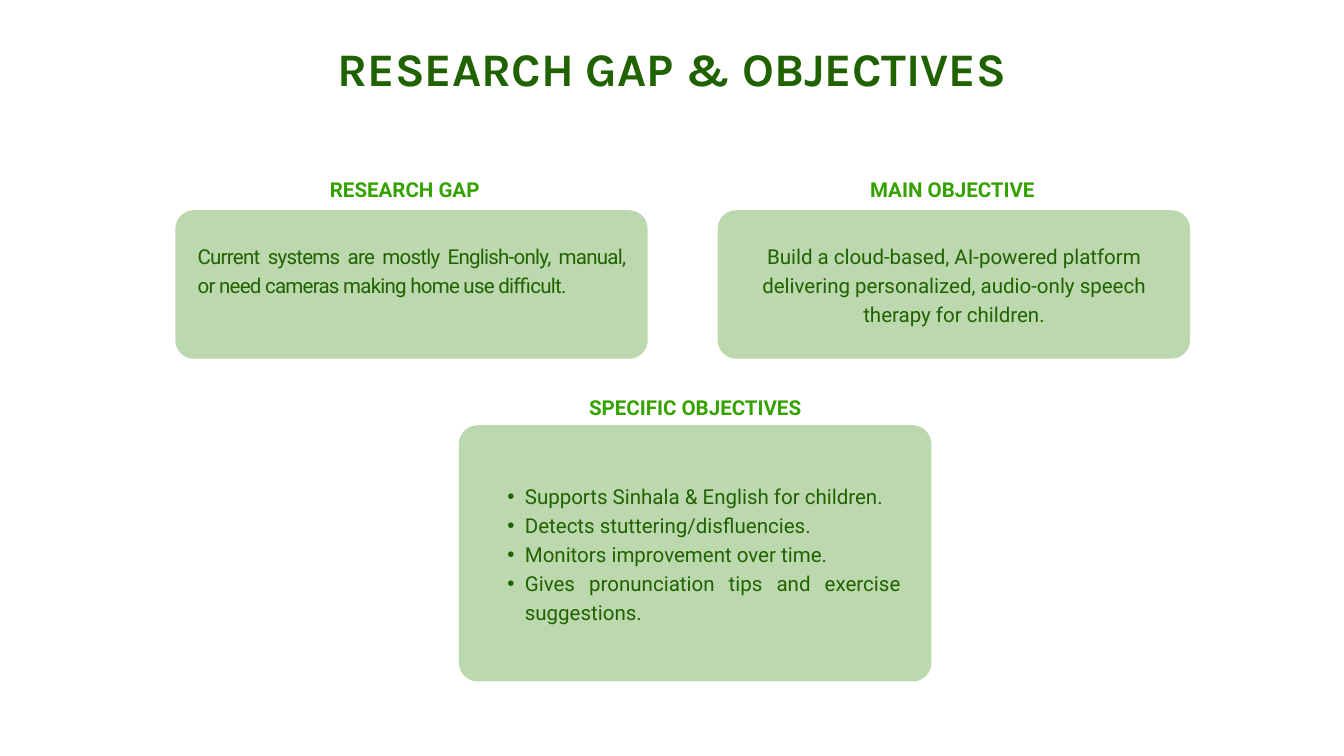
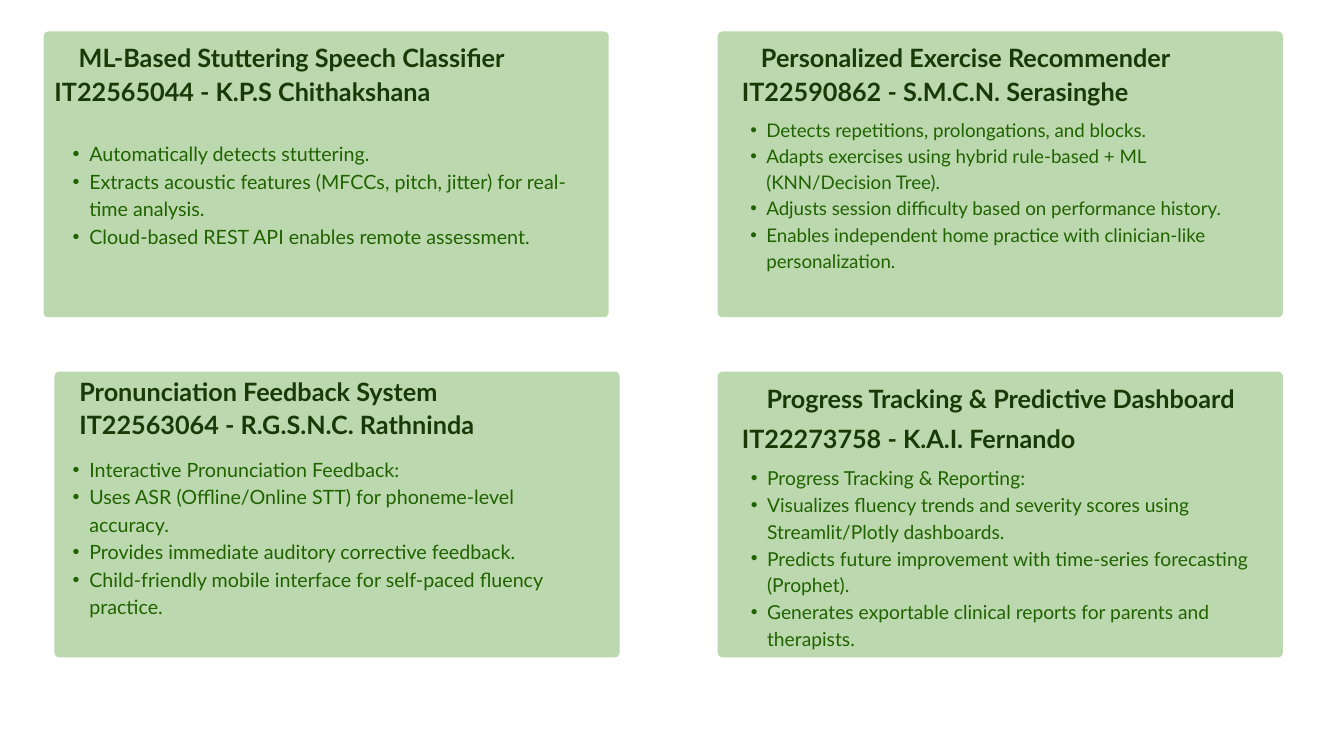
from lxml.etree import SubElement
from pptx import Presentation
from pptx.dml.color import RGBColor
from pptx.enum.shapes import MSO_SHAPE as SHAPE
from pptx.enum.text import MSO_AUTO_SIZE as AUTO_SIZE, PP_ALIGN as ALIGN
from pptx.oxml.ns import qn
from pptx.util import Cm, Pt

COLORS = {
    "card": "BBD8AE",
    "text": "206200",
    "heading": "35A201",
    "component": "183A07",
}


def add_card(slide, left, top, width, height, radius, border=0):
    card = slide.shapes.add_shape(
        SHAPE.ROUNDED_RECTANGLE, Cm(left), Cm(top), Cm(width), Cm(height))
    card.adjustments[0] = radius / min(width, height)
    card.shadow.inherit = False
    card.fill.solid()
    card.fill.fore_color.rgb = RGBColor.from_string(COLORS["card"])
    if border:
        card.line.color.rgb = RGBColor.from_string(COLORS["card"])
        card.line.width = Pt(border)
    else:
        card.line.fill.background()


def add_text(slide, lines, place, font, size, color="text", bold=False,
             align=ALIGN.LEFT, bullets=False, leading=1.4, tracking=0):
    """Write one paragraph per line; leading and indents follow the font size."""
    frame = slide.shapes.add_textbox(*[Cm(length) for length in place]).text_frame
    frame.margin_left = frame.margin_right = 0
    frame.margin_top = frame.margin_bottom = 0
    frame.word_wrap = True
    frame.auto_size = AUTO_SIZE.SHAPE_TO_FIT_TEXT
    for index, line in enumerate(lines):
        paragraph = frame.add_paragraph() if index else frame.paragraphs[0]
        run = paragraph.add_run()
        run.text = line
        if tracking:
            run._r.get_or_add_rPr().set("spc", str(tracking))
        paragraph.alignment = align
        paragraph.line_spacing = Pt(round(size * leading, 1))
        if bullets:
            props = paragraph._p.get_or_add_pPr()
            props.set("marL", str(Cm(0.06 * size)))
            props.set("indent", str(-Cm(0.03 * size)))
            SubElement(props, qn("a:buFont"), typeface="Arial")
            SubElement(props, qn("a:buChar"), char="•")
        paragraph.font.name = font
        paragraph.font.size = Pt(size)
        paragraph.font.bold = bold
        paragraph.font.color.rgb = RGBColor.from_string(COLORS[color])


deck = Presentation()
deck.slide_width, deck.slide_height = Cm(50.8), Cm(28.58)
blank = deck.slide_layouts[6]

# Research gap and objectives
objectives = deck.slides.add_slide(blank)
add_text(objectives, ["RESEARCH GAP & OBJECTIVES"], (11.46, 1.6, 27.91, 4.06),
         "Karla", 50, bold=True, align=ALIGN.CENTER, leading=1.14)

# heading, its place and alignment, card left, top and height, body, its place and style
sections = [
    ("RESEARCH GAP", (12.47, 6.55, 6.17, 1.07), ALIGN.JUSTIFY, (6.68, 8, 5.51),
     ["Current systems are mostly English-only, manual, "
      "or need cameras making home use difficult."],
     (7.47, 9.07, 16.18, 3.23), {"align": ALIGN.JUSTIFY, "tracking": -80}),
    ("MAIN OBJECTIVE", (32.89, 6.55, 6.32, 1.07), ALIGN.JUSTIFY, (27.18, 8, 5.51),
     ["Build a cloud-based, AI-powered platform delivering personalized, "
      "audio-only speech therapy for children."],
     (28.02, 9.07, 16.08, 3.23), {"align": ALIGN.CENTER}),
    ("SPECIFIC OBJECTIVES", (19.43, 14.76, 13.69, 1.07), ALIGN.CENTER,
     (17.4, 16.13, 9.58),
     ["Supports Sinhala & English for children.",
      "Detects stuttering/disfluencies.",
      "Monitors improvement over time.",
      "Gives pronunciation tips and exercise suggestions."],
     (18.52, 18.16, 15.52, 6.48), {"align": ALIGN.JUSTIFY, "bullets": True}),
]
for heading, heading_place, heading_align, card, body, body_place, style in sections:
    left, top, height = card
    add_text(objectives, [heading], heading_place, "Roboto", 22, "heading",
             bold=True, align=heading_align)
    add_card(objectives, left, top, 17.75, height, 0.65, border=3)
    add_text(objectives, body, body_place, "Roboto", 22, **style)

# System components and their owners
components = deck.slides.add_slide(blank)

# card corner, name with corner and alignment, owner with corner,
# features with place and size
parts = [
    ((1.65, 1.19),
     "ML-Based Stuttering Speech Classifier", (1.24, 1.42), ALIGN.CENTER,
     "IT22565044 - K.P.S Chithakshana", (2.06, 2.69),
     ["Automatically detects stuttering.",
      "Extracts acoustic features (MFCCs, pitch, jitter) for real-time analysis.",
      "Cloud-based REST API enables remote assessment."],
     (2.11, 5.23, 20.45, 5.11), 21.1),
    ((27.13, 1.19),
     "Personalized Exercise Recommender", (26.72, 1.42), ALIGN.CENTER,
     "IT22590862 - S.M.C.N. Serasinghe", (28.04, 2.69),
     ["Detects repetitions, prolongations, and blocks.",
      "Adapts exercises using hybrid rule-based + ML (KNN/Decision Tree).",
      "Adjusts session difficulty based on performance history.",
      "Enables independent home practice with clinician-like personalization."],
     (27.76, 4.34, 19.56, 7.8), 20.1),
    ((2.06, 14.05),
     "Pronunciation Feedback System", (3, 14.05), ALIGN.JUSTIFY,
     "IT22563064 - R.G.S.N.C. Rathninda", (3, 15.27),
     ["Interactive Pronunciation Feedback:",
      "Uses ASR (Offline/Online STT) for phoneme-level accuracy.",
      "Provides immediate auditory corrective feedback.",
      "Child-friendly mobile interface for self-paced fluency practice."],
     (2.11, 17.15, 20.45, 7.19), 21.1),
    ((27.13, 14.05),
     "Progress Tracking & Predictive Dashboard", (28.04, 14.3), ALIGN.CENTER,
     "IT22273758 - K.A.I. Fernando", (28.04, 15.82),
     ["Progress Tracking & Reporting:",
      "Visualizes fluency trends and severity scores using "
      "Streamlit/Plotly dashboards.",
      "Predicts future improvement with time-series forecasting (Prophet).",
      "Generates exportable clinical reports for parents and therapists."],
     (27.76, 17.48, 20.04, 7.98), 20.6),
]
for (corner, name, name_corner, name_align, owner, owner_corner,
     features, features_place, features_size) in parts:
    add_card(components, *corner, 21.36, 10.8, 0.18)
    add_text(components, [name], (*name_corner, 19.56, 1.3), "Lato", 27,
             "component", bold=True, align=name_align)
    add_text(components, [owner], (*owner_corner, 19.56, 1.3), "Lato", 27,
             "component", bold=True)
    add_text(components, features, features_place, "Lato", features_size, bullets=True)

deck.save("out.pptx")
